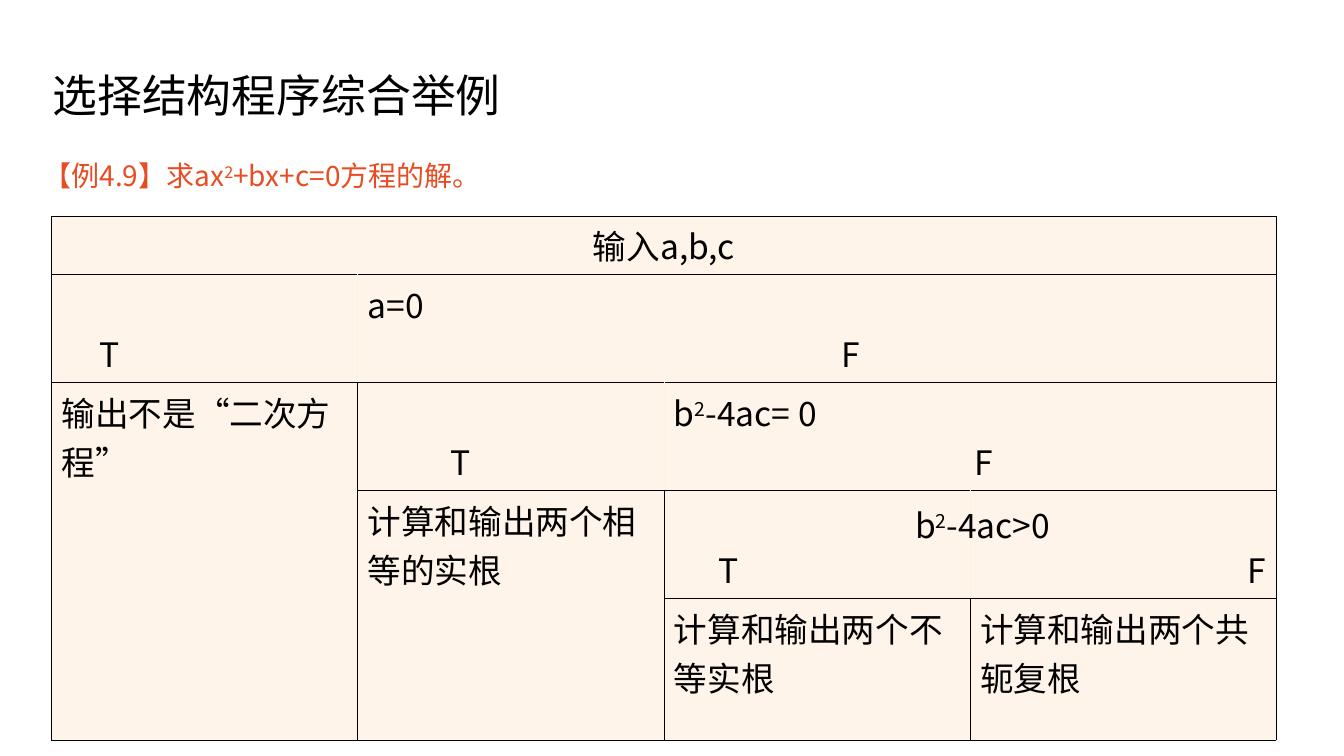
from lxml.etree import SubElement
from pptx import Presentation
from pptx.dml.color import RGBColor
from pptx.enum.text import MSO_ANCHOR, MSO_AUTO_SIZE, PP_ALIGN
from pptx.oxml import parse_xml
from pptx.oxml.ns import nsdecls, qn
from pptx.util import Cm, Pt

FONT = "Noto Sans CJK SC"
BLACK = RGBColor(0x00, 0x00, 0x00)
ORANGE = RGBColor(0xE8, 0x4C, 0x22)
CREAM = RGBColor(0xFF, 0xF4, 0xE9)
PALE = RGBColor(0xFF, 0xF2, 0xDA)

ROW_HEIGHTS = [1.47, 2.72, 2.72, 2.72, 3.56]
COLUMN_WIDTH = 7.715
SPANS = [((0, 0), (0, 3)), ((1, 1), (1, 3)), ((2, 0), (4, 0)),
         ((2, 2), (2, 3)), ((3, 1), (4, 1))]
STEPS = {
    (0, 0): "输入a,b,c",
    (2, 0): "输出不是“二次方程”",
    (3, 1): "计算和输出两个相等的实根",
    (4, 2): "计算和输出两个不等实根",
    (4, 3): "计算和输出两个共轭复根",
}
TRUE_INDENTS = {(1, 0): 0.96, (2, 1): 2.09, (3, 2): 1.13}
CONDITIONS = {(1, 1): (["a=0"], 11.94), (2, 2): (["b", "2", "-4ac= 0"], 7.58)}


def add_runs(paragraph, texts, size=24, color=BLACK):
    for position, text in enumerate(texts):
        run = paragraph.add_run()
        run.text = text
        run.font.size = Pt(size)
        run.font.name = FONT
        run.font.color.rgb = color
        properties = run.font._element
        SubElement(properties, qn("a:ea")).set("typeface", FONT)
        if position % 2:
            properties.set("baseline", "30000")


def indent(paragraph, left, first=0):
    properties = paragraph._p.get_or_add_pPr()
    properties.set("marL", str(Cm(left)))
    properties.set("indent", str(Cm(first)))
    return properties


def place(shape, left, top, width, height):
    shape.left, shape.top = Cm(left), Cm(top)
    shape.width, shape.height = Cm(width), Cm(height)


def fill_title(slide):
    title = slide.shapes.title
    place(title, 1.07, 0.64, 29.9, 3.68)
    title.text_frame.auto_size = MSO_AUTO_SIZE.NONE
    title.text_frame.vertical_anchor = MSO_ANCHOR.MIDDLE
    paragraph = title.text_frame.paragraphs[0]
    paragraph.alignment = PP_ALIGN.LEFT
    paragraph.line_spacing = 0.9
    add_runs(paragraph, ["选择结构程序综合举例"], 32)


def fill_example(slide):
    body = slide.placeholders[1]
    place(body, 0.84, 3.71, 15.82, 1.19)
    body.text_frame.auto_size = MSO_AUTO_SIZE.NONE
    paragraph = body.text_frame.paragraphs[0]
    paragraph.line_spacing = 1.2
    paragraph.space_before = Pt(0)
    SubElement(indent(paragraph, 0.25, -0.25), qn("a:buNone"))
    add_runs(paragraph, ["【例4.9】求ax", "2", "+bx+c=0方程的解。"], 20, ORANGE)


def style_cell(cell, open_left, open_right):
    cell.fill.solid()
    cell.fill.fore_color.rgb = CREAM
    edges = {"lnL": PALE if open_left else BLACK,
             "lnR": PALE if open_right else BLACK,
             "lnT": BLACK, "lnB": BLACK}
    properties = cell._tc.get_or_add_tcPr()
    for position, (edge, color) in enumerate(edges.items()):
        properties.insert(position, parse_xml(
            f'<a:{edge} {nsdecls("a")} w="{Pt(0.5)}"><a:solidFill>'
            f'<a:srgbClr val="{color}"/></a:solidFill></a:{edge}>'))


def add_flow_table(slide):
    rows, columns = len(ROW_HEIGHTS), 4
    frame = slide.shapes.add_table(rows, columns, Cm(1.3), Cm(5.44),
                                   Cm(COLUMN_WIDTH * columns), Cm(sum(ROW_HEIGHTS)))
    table = frame.table
    table.first_row = table.horz_banding = False
    for column in table.columns:
        column.width = Cm(COLUMN_WIDTH)
    for row, height in zip(table.rows, ROW_HEIGHTS):
        row.height = Cm(height)
    for row in range(rows):
        for column in range(columns):
            split = 1 <= row <= 3
            style_cell(table.cell(row, column),
                       split and column == row, split and column == row - 1)
    for first, last in SPANS:
        table.cell(*first).merge(table.cell(*last))
    return table


def fill_flow_table(table):
    for place_in_grid, text in STEPS.items():
        add_runs(table.cell(*place_in_grid).text_frame.paragraphs[0], [text])
    table.cell(0, 0).text_frame.paragraphs[0].alignment = PP_ALIGN.CENTER

    for place_in_grid, left in TRUE_INDENTS.items():
        cell = table.cell(*place_in_grid)
        cell.vertical_anchor = MSO_ANCHOR.BOTTOM
        paragraph = cell.text_frame.paragraphs[0]
        indent(paragraph, left)
        add_runs(paragraph, ["T"])

    for place_in_grid, (condition, left) in CONDITIONS.items():
        text_frame = table.cell(*place_in_grid).text_frame
        add_runs(text_frame.paragraphs[0], condition)
        paragraph = text_frame.add_paragraph()
        indent(paragraph, left)
        add_runs(paragraph, ["F"])

    last_false = table.cell(3, 3)
    last_false.vertical_anchor = MSO_ANCHOR.BOTTOM
    paragraph = last_false.text_frame.paragraphs[0]
    paragraph.alignment = PP_ALIGN.RIGHT
    add_runs(paragraph, ["F"])


def add_last_condition(slide):
    box = slide.shapes.add_textbox(Cm(22.81), Cm(12.6), Cm(4.24), Cm(1.27))
    box.text_frame.word_wrap = False
    box.text_frame.auto_size = MSO_AUTO_SIZE.SHAPE_TO_FIT_TEXT
    add_runs(box.text_frame.paragraphs[0], ["b", "2", "-4ac>0"])


def main():
    presentation = Presentation()
    presentation.slide_width = Cm(33.87)
    presentation.slide_height = Cm(19.05)
    slide = presentation.slides.add_slide(presentation.slide_layouts[1])
    fill_title(slide)
    fill_example(slide)
    fill_flow_table(add_flow_table(slide))
    add_last_condition(slide)
    presentation.save("out.pptx")


if __name__ == "__main__":
    main()
